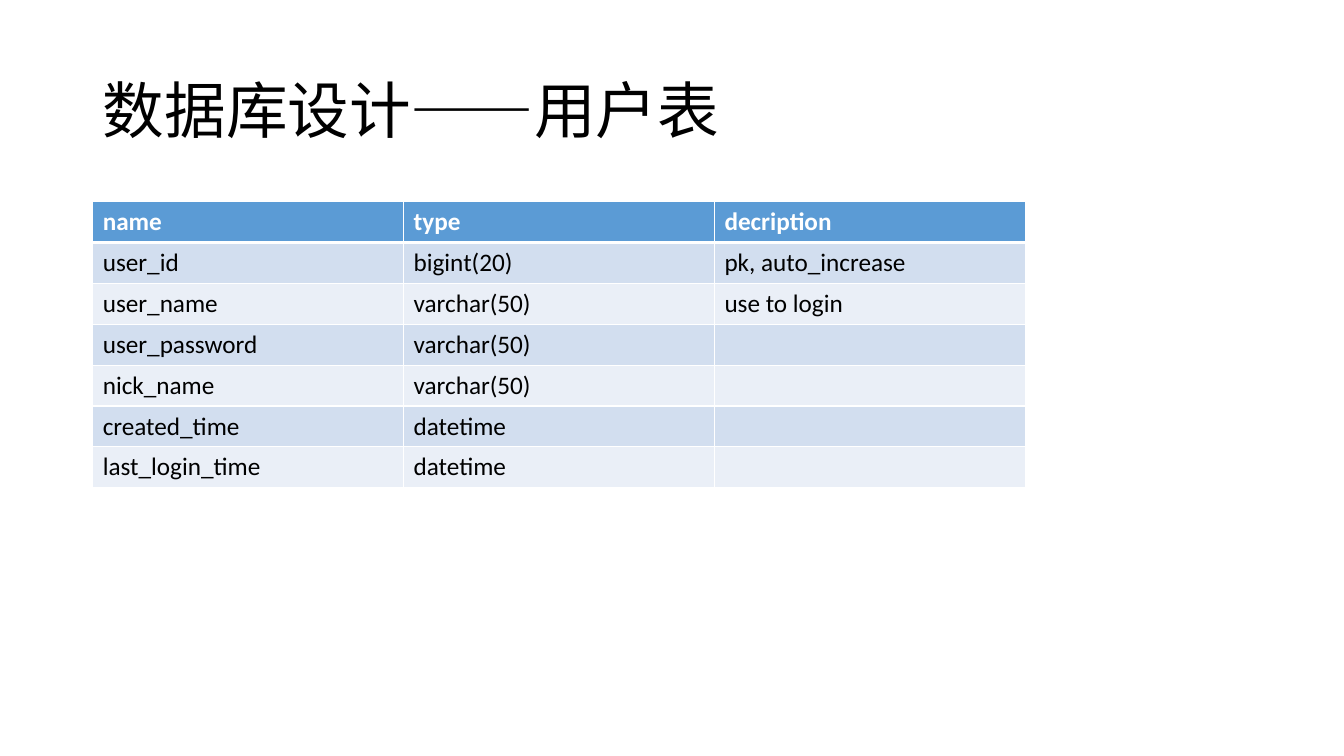
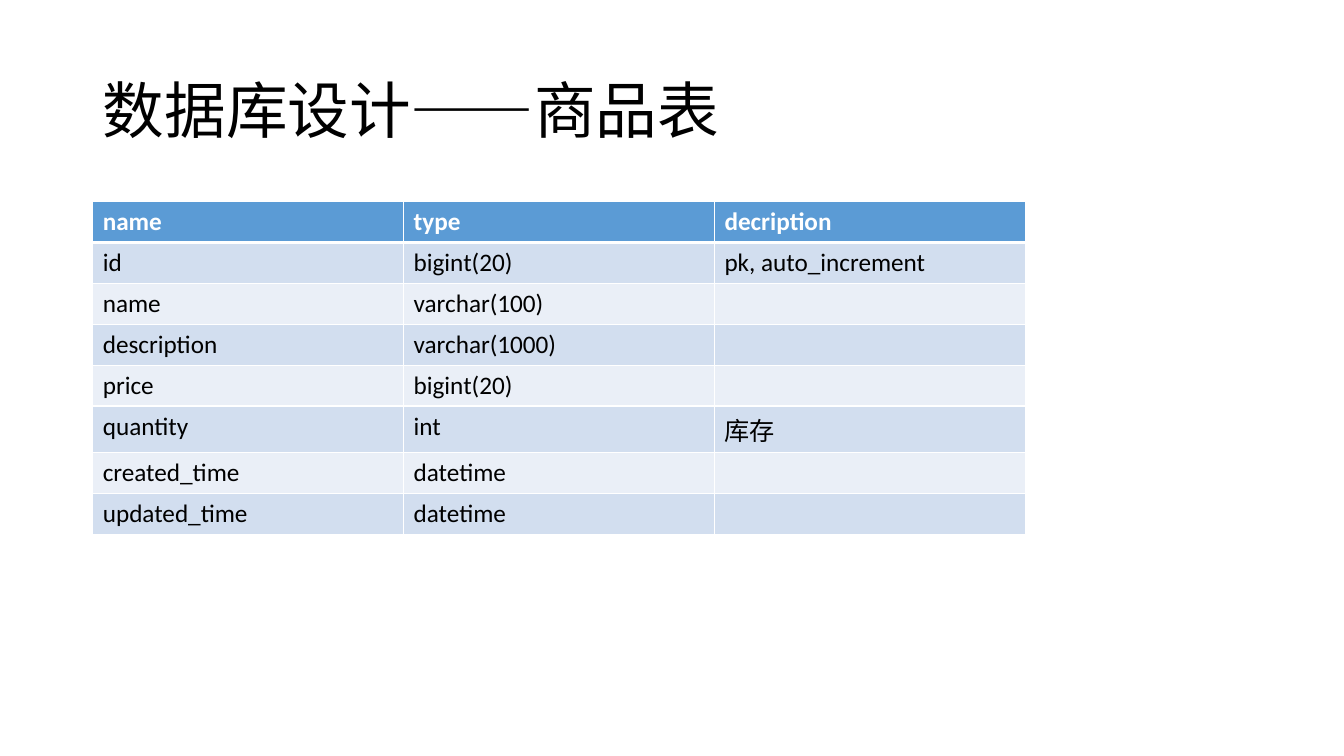
import pptx
import pptx.util
import pptx.dml.color
import pptx.enum.text
import pptx.oxml
import lxml.etree


def tint(code):
    return pptx.dml.color.RGBColor.from_string(code)


class Deck:
    # Shared style; lengths are percent of the slide's size
    font = "Calibri"
    ink, paper = "000000", "FFFFFF"
    head, bands = "5B9BD5", ("D2DEEF", "EAEFF7")
    left, top = 6.9, 26.67
    col, row = 23.13, 5.41
    labels = ("name", "type", "decription")

    def __init__(self):
        self.file = pptx.Presentation()
        self.file.slide_width = pptx.util.Inches(13.33)
        self.file.slide_height = pptx.util.Inches(7.5)
        self.slide = None

    def wide(self, share):
        return round(self.file.slide_width * share / 100)

    def high(self, share):
        return round(self.file.slide_height * share / 100)

    def run(self, para, text, size, color, bold=False):
        run = para.add_run()
        run.text = text
        run.font.name = self.font
        run.font.size = pptx.util.Pt(size)
        run.font.bold = bold
        run.font.color.rgb = tint(color)

    # New slide with its title
    def page(self, text):
        self.slide = self.file.slides.add_slide(self.file.slide_layouts[5])
        title = self.slide.shapes.title
        title.left, title.top = self.wide(self.left), self.high(5.33)
        title.width, title.height = self.wide(86.25), self.high(19.33)
        frame = title.text_frame
        frame.word_wrap = True
        frame.auto_size = pptx.enum.text.MSO_AUTO_SIZE.NONE
        frame.vertical_anchor = pptx.enum.text.MSO_ANCHOR.MIDDLE
        para = frame.paragraphs[0]
        para.alignment = pptx.enum.text.PP_ALIGN.LEFT
        para.line_spacing = 0.9
        self.run(para, text, 44, self.ink)

    # One cell border on each side, widths in points
    def edge(self, cell, **sides):
        props = cell._tc.get_or_add_tcPr()
        for side in "LRTB":
            line = lxml.etree.SubElement(props, pptx.oxml.ns.qn("a:ln" + side))
            line.set("w", str(pptx.util.Pt(sides.get(side, 1))))
            fill = lxml.etree.SubElement(line, pptx.oxml.ns.qn("a:solidFill"))
            color = lxml.etree.SubElement(fill, pptx.oxml.ns.qn("a:srgbClr"))
            color.set("val", self.paper)

    # Table of fields under a header row
    def table(self, fields):
        rows = [self.labels, *fields]
        count = len(self.labels)
        grid = self.slide.shapes.add_table(
            len(rows), count, self.wide(self.left), self.high(self.top),
            self.wide(self.col * count), self.high(self.row * len(rows))).table
        for i, row in enumerate(rows):
            grid.rows[i].height = self.high(self.row)
            first = i == 0
            back = self.head if first else self.bands[(i - 1) % 2]
            for j in range(count):
                cell = grid.cell(i, j)
                self.edge(cell, T=3 if i == 1 else 1, B=3 if first else 1)
                cell.fill.solid()
                cell.fill.fore_color.rgb = tint(back)
                if j < len(row):
                    self.run(cell.text_frame.paragraphs[0], row[j], 18,
                             self.paper if first else self.ink, first)


deck = Deck()

# User table
deck.page("数据库设计——用户表")
deck.table([
    ("user_id", "bigint(20)", "pk, auto_increase"),
    ("user_name", "varchar(50)", "use to login"),
    ("user_password", "varchar(50)"),
    ("nick_name", "varchar(50)"),
    ("created_time", "datetime"),
    ("last_login_time", "datetime"),
])

# Goods table
deck.page("数据库设计——商品表")
deck.table([
    ("id", "bigint(20)", "pk, auto_increment"),
    ("name", "varchar(100)"),
    ("description", "varchar(1000)"),
    ("price", "bigint(20)"),
    ("quantity", "int", "库存"),
    ("created_time", "datetime"),
    ("updated_time", "datetime"),
])

deck.file.save("out.pptx")
